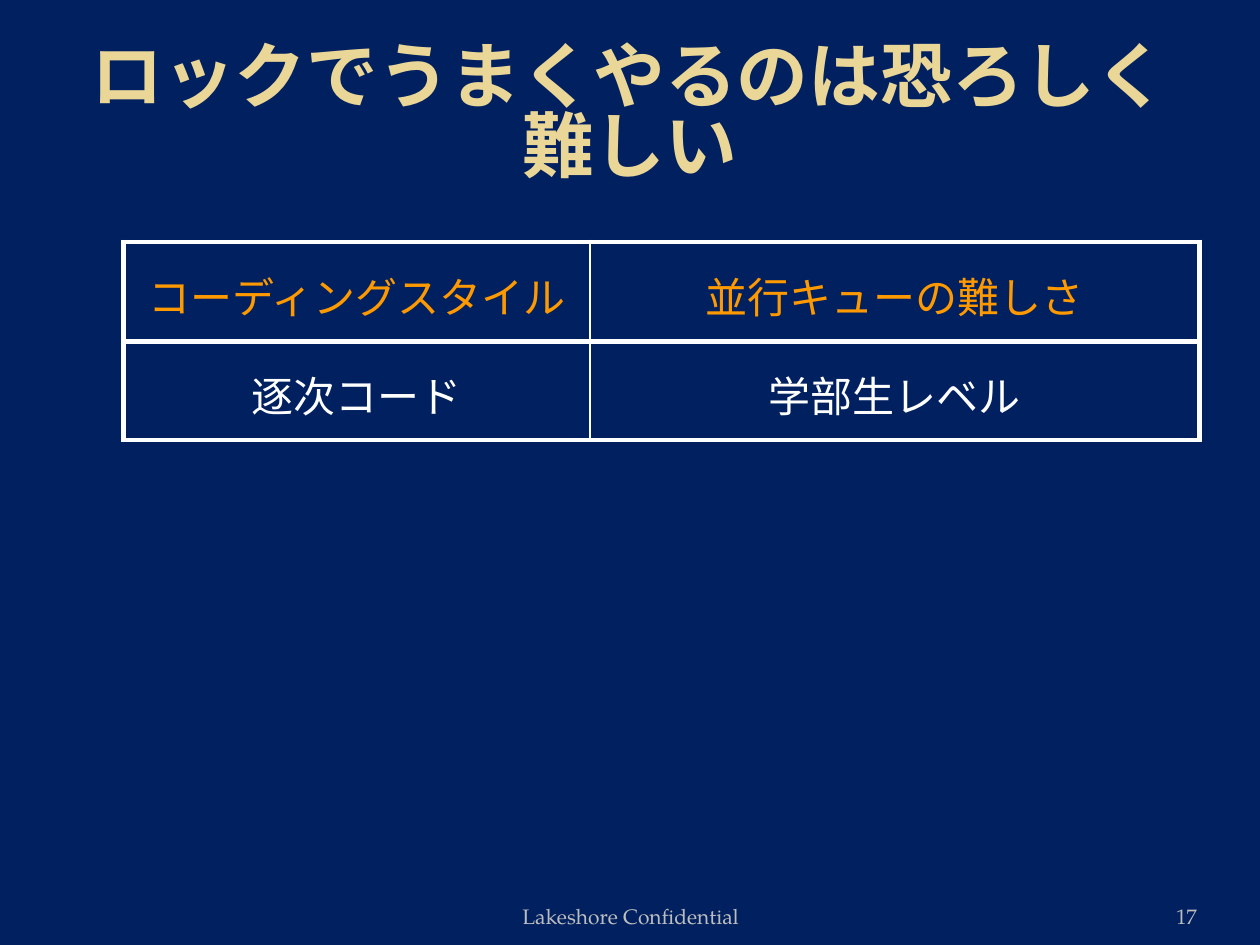
"""Build a slide comparing the difficulty of a concurrent queue by coding style."""
import pptx
import pptx.util
import pptx.dml.color
import pptx.enum.text
import pptx.oxml
import pptx.oxml.ns
from pptx.util import Cm

ALIGN = pptx.enum.text.PP_ALIGN
ANCHOR = pptx.enum.text.MSO_ANCHOR


def rgb(value):
    return pptx.dml.color.RGBColor.from_string(value)


def write(frame, text, size, font, color, align=ALIGN.CENTER, bold=False,
          anchor=ANCHOR.MIDDLE, spacing=None, after=0):
    frame.word_wrap = True
    frame.vertical_anchor = anchor
    paragraph = frame.paragraphs[0]
    paragraph.alignment = align
    paragraph.line_spacing = spacing
    paragraph.space_after = pptx.util.Pt(after)
    run = paragraph.add_run()
    run.text = text
    run.font.size = pptx.util.Pt(size)
    run.font.name = font
    run.font.bold = bold
    run.font.color.rgb = rgb(color)


deck = pptx.Presentation()
deck.slide_width, deck.slide_height = Cm(25.4), Cm(19.05)
slide = deck.slides.add_slide(deck.slide_layouts[6])
slide.background.fill.solid()
slide.background.fill.fore_color.rgb = rgb("002060")

page_number = slide.shapes.add_textbox(Cm(22.02), Cm(17.83), Cm(2.11), Cm(1.02)).text_frame
page_number.margin_left = page_number.margin_right = 0
write(page_number, "17", 12, "TeX Gyre Pagella", "BDBDBD", align=ALIGN.RIGHT, anchor=ANCHOR.BOTTOM)

footer = slide.shapes.add_textbox(Cm(8.69), Cm(17.83), Cm(8.05), Cm(1.02)).text_frame
write(footer, "Lakeshore Confidential", 12, "TeX Gyre Pagella", "BDBDBD", anchor=ANCHOR.BOTTOM)

title = slide.shapes.add_textbox(Cm(1.27), Cm(0.76), Cm(22.86), Cm(3.18)).text_frame
write(title, "ロックでうまくやるのは恐ろしく難しい", 41, "Noto Sans", "EAD696",
      bold=True, spacing=0.82)

styles = [("コーディングスタイル", "並行キューの難しさ"), ("逐次コード", "学部生レベル")]
row_colors = ["FF9900", "FFFFFF"]
table = slide.shapes.add_table(2, 2, Cm(2.49), Cm(4.88), Cm(21.69), Cm(3.99)).table
for column, width in zip(table.columns, (9.4, 12.29)):
    column.width = Cm(width)
for row, height in zip(table.rows, (2.01, 1.98)):
    row.height = Cm(height)

for row_index, (labels, color) in enumerate(zip(styles, row_colors)):
    for column_index, label in enumerate(labels):
        cell = table.cell(row_index, column_index)
        write(cell.text_frame, label, 24, "Arial", color, spacing=1.1, after=4.8)
        cell.vertical_anchor = ANCHOR.MIDDLE
        properties = cell._tc.get_or_add_tcPr()
        widths = {"lnL": (3, 1)[column_index], "lnR": (1, 3)[column_index], "lnT": 3, "lnB": 3}
        for side, width in widths.items():
            properties.append(pptx.oxml.parse_xml(
                f'<a:{side} {pptx.oxml.ns.nsdecls("a")} w="{pptx.util.Pt(width)}">'
                f'<a:solidFill><a:srgbClr val="FFFFFF"/></a:solidFill></a:{side}>'))
        cell.fill.background()

deck.save("out.pptx")
